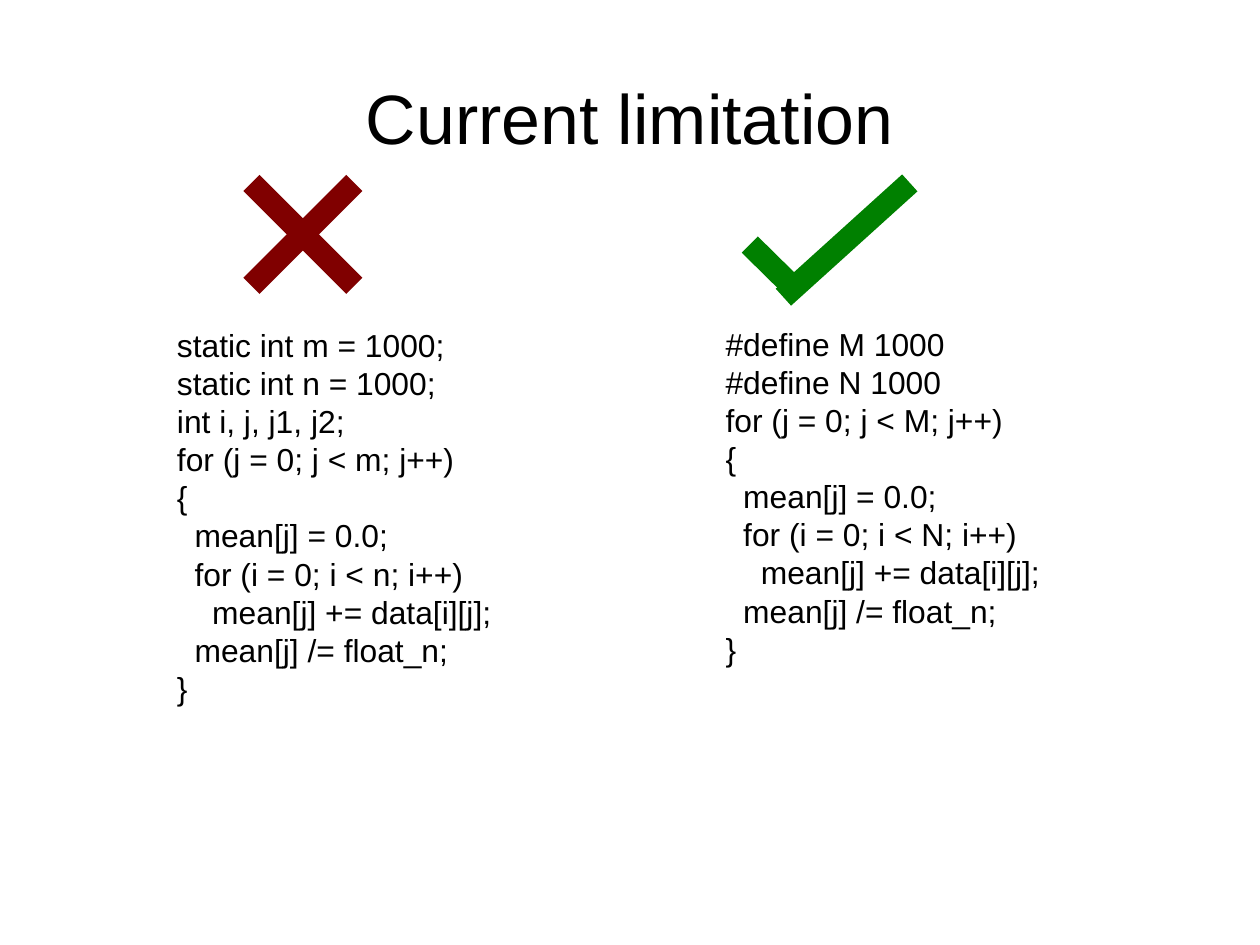
from pptx import Presentation, util as u
from pptx.dml.color import RGBColor
from pptx.enum import shapes, text
from pptx.oxml.ns import qn
from lxml import etree

WIDE, HIGH = u.Cm(28), u.Cm(21)
BAD = """static int m = 1000;
static int n = 1000;
int i, j, j1, j2;
for (j = 0; j < m; j++)
{
  mean[j] = 0.0;
  for (i = 0; i < n; i++)
    mean[j] += data[i][j];
  mean[j] /= float_n;
}"""
GOOD = """#define M 1000
#define N 1000
for (j = 0; j < M; j++)
{
  mean[j] = 0.0;
  for (i = 0; i < N; i++)
    mean[j] += data[i][j];
  mean[j] /= float_n;
}"""
CROSS = [((1, 0), (0, 1)), ((0, 0), (1, 1))]
TICK = [((0, 0.54), (0.29, 0.94)), ((1, 0), (0.21, 1))]


def paint(color, value):
    """Set a colour format from a hex string."""
    color.rgb = RGBColor.from_string(value)


def style(font, size):
    """Give a font the slide's face and colour."""
    font.name, font.size = "Arial", u.Pt(size)
    paint(font.color, "000000")


def place(shape, box):
    """Move a shape to a box given in inches."""
    shape.left, shape.top, shape.width, shape.height = map(u.Inches, box)


def add_title(slide, box, words):
    """Fill the title placeholder, centred in the box."""
    title = slide.shapes.title
    place(title, box)
    frame = title.text_frame
    frame.text = words
    frame.vertical_anchor = text.MSO_ANCHOR.MIDDLE
    frame.margin_left = frame.margin_right = 0
    frame.margin_top = frame.margin_bottom = 0
    line = frame.paragraphs[0]
    line.alignment = text.PP_ALIGN.CENTER
    style(line.font, 44)


def add_code(slide, box, code):
    """Write a code listing, one paragraph a line."""
    frame = slide.shapes.add_textbox(*map(u.Inches, box)).text_frame
    frame.word_wrap = True
    frame.text = code
    for line in frame.paragraphs:
        line.line_spacing = u.Pt(24)
        style(line.font, 20)


def add_mark(slide, box, strokes, color):
    """Draw strokes whose ends are shares of the box."""
    left, top, width, height = box
    for ends in strokes:
        spots = [u.Inches(v) for x, y in ends
                 for v in (left + x * width, top + y * height)]
        stroke = slide.shapes.add_connector(shapes.MSO_CONNECTOR.STRAIGHT, *spots)
        stroke.line.width = u.Pt(14.4)
        paint(stroke.line.color, color)
        etree.SubElement(stroke._element.spPr, qn("a:effectLst"))


def main():
    """Build the slide and save it."""
    deck = Presentation()
    deck.slide_width, deck.slide_height = WIDE, HIGH
    slide = deck.slides.add_slide(deck.slide_layouts[5])
    edge = 0.05 * WIDE.inches
    add_title(slide, (edge, 0.04 * HIGH.inches, 0.9 * WIDE.inches, 1.38),
              "Current limitation")
    add_code(slide, (1.45, 2.8, 3.35, 5.04), BAD)
    add_code(slide, (6.25, 2.79, 3.36, 4.96), GOOD)
    add_mark(slide, (2.2, 1.6, 0.9, 0.9), CROSS, "800000")
    add_mark(slide, (6.56, 1.6, 1.4, 1), TICK, "008000")
    deck.save("out.pptx")


if __name__ == "__main__":
    main()
